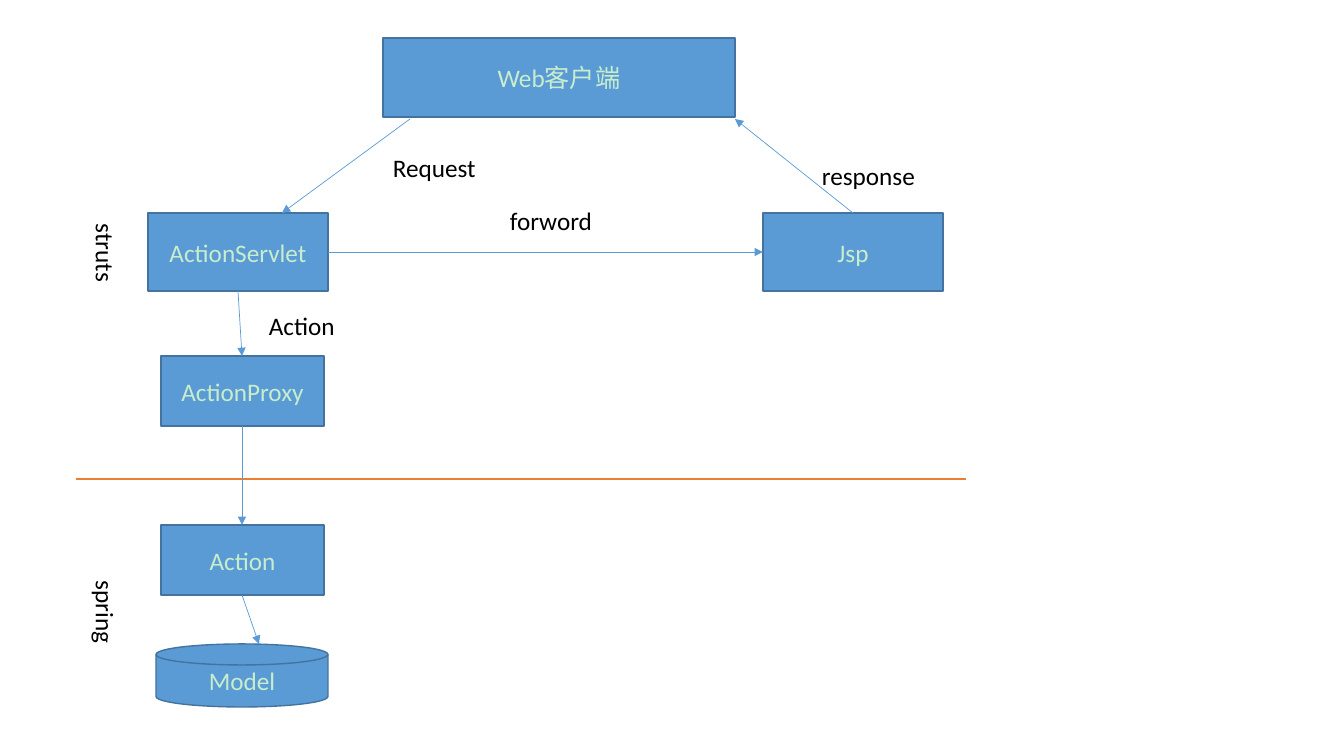
"""Build a slide showing the request flow through struts and spring."""
from lxml import etree
from pptx import Presentation
from pptx.dml.color import RGBColor
from pptx.enum.shapes import MSO_CONNECTOR, MSO_SHAPE
from pptx.enum.text import MSO_ANCHOR, MSO_AUTO_SIZE, PP_ALIGN
from pptx.oxml.ns import qn
from pptx.util import Emu, Pt

RECTANGLE, DISK = MSO_SHAPE.RECTANGLE, MSO_SHAPE.FLOWCHART_MAGNETIC_DISK
STRAIGHT = MSO_CONNECTOR.STRAIGHT
MIDDLE, CENTER, LEFT = MSO_ANCHOR.MIDDLE, PP_ALIGN.CENTER, PP_ALIGN.LEFT
FIT_SHAPE = MSO_AUTO_SIZE.SHAPE_TO_FIT_TEXT
EMU_PER_PIXEL = 914400 / 100.8
BLUE, DARK_BLUE, ORANGE = "5B9BD5", "43739E", "ED7D31"
PALE_GREEN, BLACK = "C7EDCC", "000000"


def pixels(*lengths):
    return [Emu(round(length * EMU_PER_PIXEL)) for length in lengths]


def write(shape, text, color, alignment):
    paragraph = shape.text_frame.paragraphs[0]
    paragraph.text = text
    paragraph.alignment = alignment
    paragraph.font.name = "Calibri"
    paragraph.font.size = Pt(18)
    paragraph.font.color.rgb = RGBColor.from_string(color)


presentation = Presentation()
presentation.slide_width, presentation.slide_height = pixels(1344, 756)
slide = presentation.slides.add_slide(presentation.slide_layouts[6])

boxes = [
    ("Web客户端", RECTANGLE, 383, 38, 352, 79),
    ("ActionServlet", RECTANGLE, 148, 213, 180, 78),
    ("Jsp", RECTANGLE, 763, 213, 180, 78),
    ("ActionProxy", RECTANGLE, 161, 356, 163, 70),
    ("Action", RECTANGLE, 161, 525, 163, 70),
    ("Model", DISK, 156, 644, 172, 63),
]
for text, kind, *bounds in boxes:
    box = slide.shapes.add_shape(kind, *pixels(*bounds))
    box.shadow.inherit = False
    box.fill.solid()
    box.fill.fore_color.rgb = RGBColor.from_string(BLUE)
    box.line.color.rgb = RGBColor.from_string(DARK_BLUE)
    box.line.width = Pt(1)
    box.text_frame.vertical_anchor = MIDDLE
    write(box, text, PALE_GREEN, CENTER)

labels = [
    ("Request", "horz", 383, 147, 104, 40),
    ("Action", "horz", 259, 305, 87, 40),
    ("forword", "horz", 500, 200, 103, 40),
    ("response", "horz", 812, 155, 114, 40),
    ("struts", "eaVert", 76, 214, 50, 69),
    ("spring", "eaVert", 76, 571, 50, 74),
]
for text, direction, *bounds in labels:
    label = slide.shapes.add_textbox(*pixels(*bounds))
    label.text_frame.word_wrap = False
    label.text_frame.auto_size = FIT_SHAPE
    label.text_frame._txBody.bodyPr.set("vert", direction)
    write(label, text, BLACK, LEFT)

lines = [
    (BLUE, 0.5, True, 410, 119, 282, 213),
    (BLUE, 0.5, True, 238, 291, 242, 356),
    (BLUE, 0.5, True, 328, 252, 763, 252),
    (BLUE, 0.5, True, 853, 213, 735, 119),
    (ORANGE, 1.5, False, 76, 479, 966, 479),
    (BLUE, 0.5, True, 242, 426, 242, 525),
    (BLUE, 0.5, True, 242, 595, 259, 644),
]
for color, width, has_arrow, *ends in lines:
    line = slide.shapes.add_connector(STRAIGHT, *pixels(*ends))
    line.line.color.rgb = RGBColor.from_string(color)
    line.line.width = Pt(width)
    if has_arrow:
        etree.SubElement(line.line._get_or_add_ln(), qn("a:tailEnd"), type="triangle")
    etree.SubElement(line._element.spPr, qn("a:effectLst"))

presentation.save("out.pptx")
